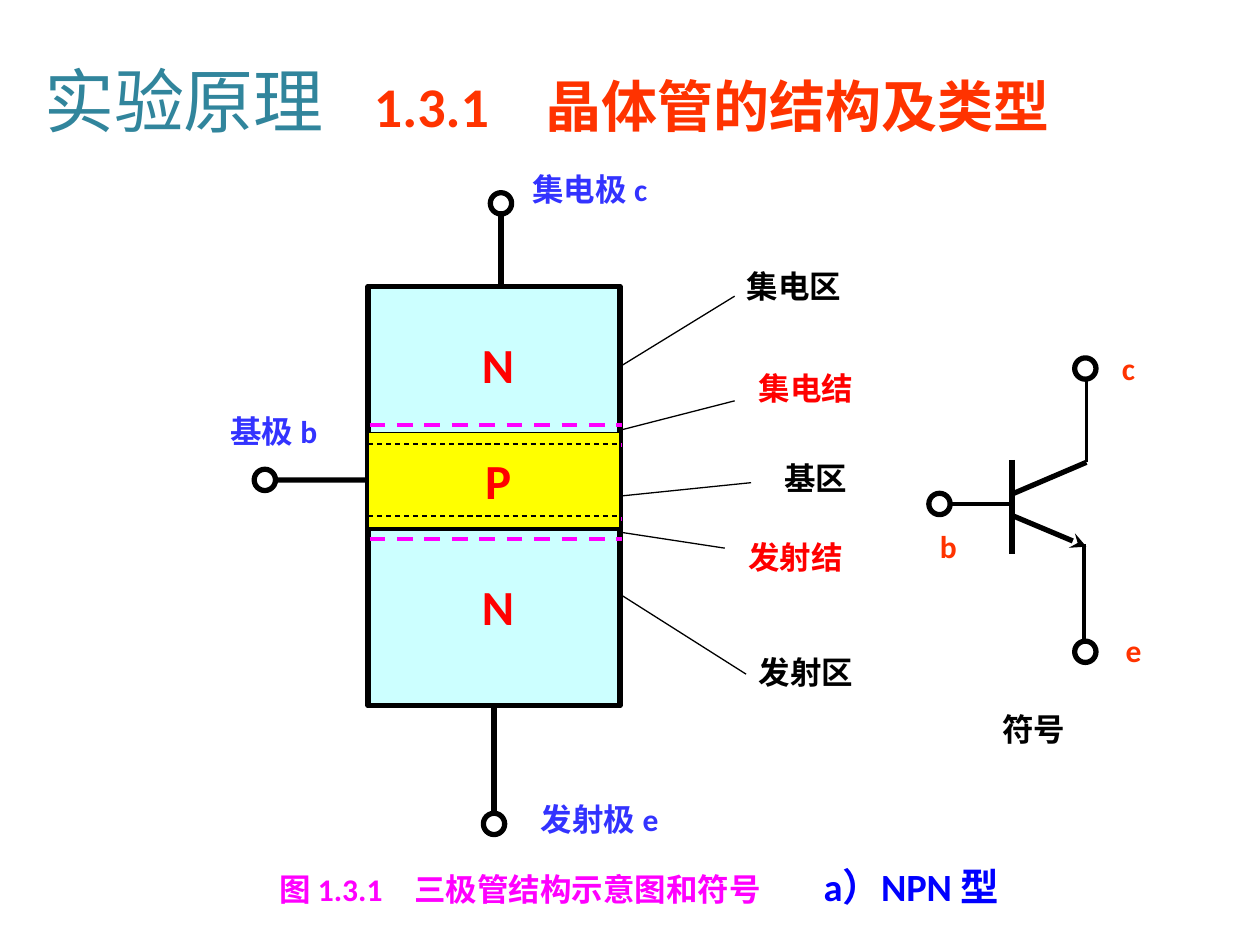
from dataclasses import dataclass

from lxml.etree import SubElement
from pptx import Presentation
from pptx.dml.color import RGBColor
from pptx.enum.dml import MSO_LINE
from pptx.enum.shapes import MSO_CONNECTOR, MSO_SHAPE
from pptx.enum.text import MSO_ANCHOR, PP_ALIGN
from pptx.oxml.ns import qn
from pptx.util import Cm, Pt


@dataclass(frozen=True)
class Theme:
    """Colours, fonts, type sizes and line widths of the slide."""
    latin: str = "Calibri"
    chinese: str = "Noto Sans CJK SC"
    black: str = "000000"
    teal: str = "31859C"
    orange: str = "FF3300"
    magenta: str = "FF00FF"
    blue: str = "0000FF"
    electrode: str = "3333FF"
    red: str = "FF0000"
    n_fill: str = "CCFFFF"
    p_fill: str = "FFFF00"
    title: int = 40
    heading: int = 32
    layer: int = 28
    kind: int = 22
    body: int = 18
    thick: float = 3
    medium: float = 2.25
    lead: float = 2
    thin: float = 0.75


THEME = Theme()


@dataclass
class Box:
    """A region of the slide whose parts are placed in centimetres from its corner."""
    shapes: object
    left: float
    top: float
    width: float
    height: float

    def point(self, x, y):
        """Turn a place in the box into a place on the slide."""
        return Cm(self.left + x), Cm(self.top + y)

    def text(self, x, y, width, height, runs, bold=True, font=THEME.latin,
             align=PP_ALIGN.LEFT, anchor=MSO_ANCHOR.TOP, wrap=True):
        """Write one paragraph of (wording, size, colour) runs."""
        shape = self.shapes.add_textbox(*self.point(x, y), Cm(width), Cm(height))
        frame = shape.text_frame
        frame.word_wrap = wrap
        frame.vertical_anchor = anchor
        paragraph = frame.paragraphs[0]
        paragraph.alignment = align
        paragraph.font.name = font
        paragraph.font.bold = bold
        SubElement(paragraph.font._element, qn("a:ea"), typeface=THEME.chinese)
        for wording, size, colour in runs:
            run = paragraph.add_run()
            run.text = wording
            target = paragraph.font if len(runs) == 1 else run.font
            target.size = Pt(size)
            target.color.rgb = RGBColor.from_string(colour)

    def label(self, wording, x, y, width, colour, size=THEME.body, height=1.27):
        """Centre a short label on a point."""
        self.text(x - width / 2, y - height / 2, width, height, [(wording, size, colour)],
                  align=PP_ALIGN.CENTER, anchor=MSO_ANCHOR.MIDDLE, wrap=False)

    def wire(self, start, end, weight=THEME.thick, colour=THEME.black, dashed=False):
        """Draw a straight line between two points."""
        connector = self.shapes.add_connector(
            MSO_CONNECTOR.STRAIGHT, *self.point(*start), *self.point(*end))
        connector.line.width = Pt(weight)
        connector.line.color.rgb = RGBColor.from_string(colour)
        if dashed:
            connector.line.dash_style = MSO_LINE.DASH
        SubElement(connector._element.spPr, qn("a:effectLst"))
        return connector

    def outline(self, kind, x, y, width, height, weight, fill=None):
        """Draw a black-edged preset shape, hollow unless a fill is given."""
        shape = self.shapes.add_shape(kind, *self.point(x, y), Cm(width), Cm(height))
        shape.shadow.inherit = False
        shape.line.width = Pt(weight)
        shape.line.color.rgb = RGBColor.from_string(THEME.black)
        if fill:
            shape.fill.solid()
            shape.fill.fore_color.rgb = RGBColor.from_string(fill)
        else:
            shape.fill.background()
        return shape

    def terminal(self, x, y, size=0.43):
        """Draw the open circle that ends a lead, centred on a point."""
        self.outline(MSO_SHAPE.OVAL, x - size / 2, y - size / 2, size, size, THEME.thick)


def add_header(box):
    """Place the title and the section heading."""
    box.text(0, 0, 19.46, box.height, [("实验原理", THEME.title, THEME.teal)],
             bold=False, font=THEME.chinese, anchor=MSO_ANCHOR.MIDDLE)
    box.text(6.65, 0.63, 15.04, 1.6,
             [("1.3.1\u3000晶体管的结构及类型".replace("\u3000", "　"), THEME.heading, THEME.orange)])


def add_caption(box):
    """Place the figure caption."""
    box.text(0, 0, box.width, box.height, [
        ("图 1.3.1　三极管结构示意图和符号　　", THEME.body, THEME.magenta),
        ("a）NPN 型", THEME.kind, THEME.blue)])


def add_callouts(box):
    """Name the regions and junctions to the right of the structure."""
    callouts = [
        ("集电区", 3.07, THEME.black, (8.59, 0), (4.9, 1.73), (7.39, 0.2)),
        ("集电结", 3.07, THEME.red, (8.83, 2.06), (4.7, 3), (7.39, 2.31)),
        ("基区", 2.21, THEME.black, (9.03, 3.86), (4.7, 4.27), (7.72, 3.96)),
        ("发射结", 3.07, THEME.red, (8.62, 5.46), (4.7, 4.9), (7.19, 5.28)),
        ("发射区", 3.07, THEME.black, (8.83, 7.77), (4.7, 5.97), (7.62, 7.82)),
    ]
    for wording, width, colour, centre, start, end in callouts:
        box.label(wording, *centre, width, colour)
        box.wire(start, end, THEME.thin)


def add_structure(box):
    """Draw the layered N-P-N block with its three electrodes."""
    base_top, base_height, inset = 2.95, 1.91, 0.23
    base_middle = base_top + base_height / 2
    block = box.outline(MSO_SHAPE.RECTANGLE, 0, 0, box.width, box.height,
                        THEME.thick, THEME.n_fill)
    for junction in (3, 4.9):
        box.wire((0, junction), (box.width, junction), THEME.medium)
        for y in (junction - 0.2, junction + 0.2):
            box.wire((0.03, y), (box.width + 0.03, y), THEME.medium, THEME.magenta, True)
    base = box.outline(MSO_SHAPE.RECTANGLE, 0, base_top, box.width, base_height,
                       THEME.thin, THEME.p_fill)
    for y in (base_top + inset, base_top + base_height - inset):
        box.wire((0, y), (box.width, y), THEME.thin, dashed=True)

    middle = box.width / 2
    box.wire((2.68, 0), (2.68, -1.52))
    box.wire((middle, box.height), (middle, 10.62)).begin_connect(block, 2)
    box.wire((0, base_middle), (-1.88, base_middle)).begin_connect(base, 1)
    for centre in ((2.68, -1.67), (middle, 10.84), (-2.08, base_middle)):
        box.terminal(*centre)

    for wording, y in (("N", 1.56), ("P", base_middle), ("N", 6.44)):
        box.label(wording, 2.62, y, 1.22, THEME.red, THEME.layer, 1.45)
    box.label("集电极 c", 4.47, -1.96, 3.66, THEME.electrode)
    box.label("基极 b", -1.9, 2.92, 2.9, THEME.electrode)
    box.label("发射极 e", 4.67, 10.74, 3.66, THEME.electrode)


def add_symbol(box):
    """Draw the circuit symbol of the NPN transistor."""
    bar, end = 1.78, 3.28
    box.wire((bar, 2.49), (bar, 4.39))
    box.wire((bar, 3.18), (end, 2.54))
    emitter = box.wire((bar, 3.61), (end, 4.24))
    SubElement(emitter.line._get_or_add_ln(), qn("a:tailEnd"), type="stealth")
    box.wire((bar, 3.38), (0.51, 3.38), THEME.lead)
    box.wire((end, 2.54), (end, 0.84), THEME.lead)
    box.wire((3.23, 4.19), (3.23, 6.1), THEME.lead)
    for centre in ((0.32, 3.38), (3.26, 0.65), (3.26, 6.36)):
        box.terminal(*centre)
    box.label("c", 4.13, 0.64, 1.5, THEME.orange)
    box.label("b", 0.5, 4.22, 0.99, THEME.orange)
    box.label("e", 4.23, 6.32, 0.89, THEME.orange)
    box.label("符号", 2.22, 7.92, 2.21, THEME.black)


def main():
    """Build the slide and save it."""
    presentation = Presentation()
    presentation.slide_width, presentation.slide_height = Cm(25.4), Cm(19.05)
    shapes = presentation.slides.add_slide(presentation.slide_layouts[6]).shapes
    block = Box(shapes, 7.42, 5.77, 5.08, 8.46)
    add_header(Box(shapes, 0.64, 0.69, 21.69, 2.64))
    add_caption(Box(shapes, 5.38, 17.27, 16.46, 1.19))
    add_symbol(Box(shapes, 18.62, 6.78, 4.88, 8.56))
    add_callouts(block)
    add_structure(block)
    presentation.save("out.pptx")


if __name__ == "__main__":
    main()
